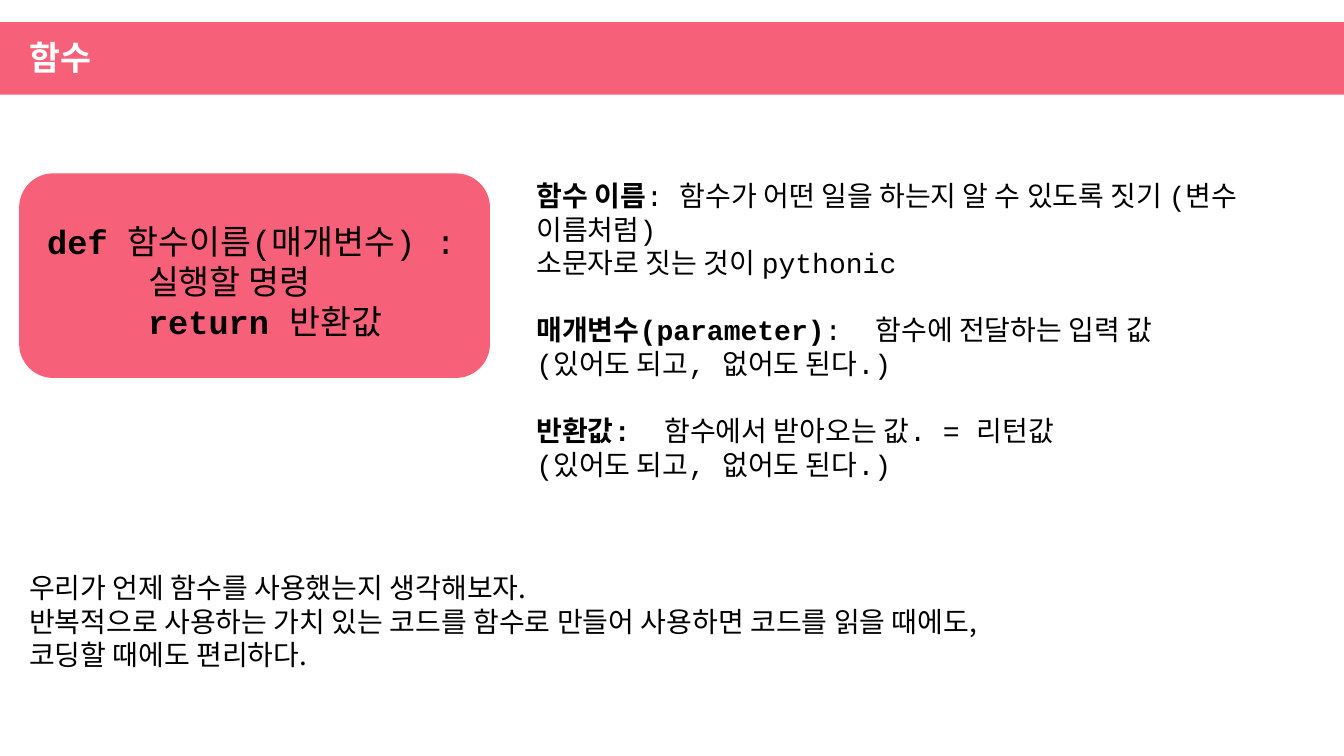
import pptx
import pptx.dml.color
import pptx.enum.shapes
import pptx.enum.text
import pptx.oxml
import pptx.oxml.ns
import pptx.util

Inches = pptx.util.Inches
Pt = pptx.util.Pt
RGBColor = pptx.dml.color.RGBColor
MSO_SHAPE = pptx.enum.shapes.MSO_SHAPE

PINK = RGBColor(0xF6, 0x60, 0x79)
WHITE = RGBColor(0xFF, 0xFF, 0xFF)
BLACK = RGBColor(0x00, 0x00, 0x00)
CODE_FONT = "Courier New"
KOREAN_FONT = "Noto Sans CJK KR"


def add_panel(kind, left, top, width, height):
    panel = slide.shapes.add_shape(
        kind, Inches(left), Inches(top), Inches(width), Inches(height))
    panel.shadow.inherit = False
    panel.fill.solid()
    panel.fill.fore_color.rgb = PINK
    panel.line.fill.background()
    return panel


def write_text(shape, box, lines, size, font=CODE_FONT, color=BLACK):
    """Place shape and fill it; each line is (indent, space before, [(text, bold)])."""
    shape.left, shape.top, shape.width, shape.height = map(Inches, box)
    frame = shape.text_frame
    frame.word_wrap = True
    frame.auto_size = pptx.enum.text.MSO_AUTO_SIZE.NONE
    frame.vertical_anchor = pptx.enum.text.MSO_ANCHOR.TOP
    frame.text = "\n".join("" for _ in lines)
    for paragraph, (indent, gap, pieces) in zip(frame.paragraphs, lines):
        paragraph.alignment = pptx.enum.text.PP_ALIGN.LEFT
        paragraph.space_before = Pt(gap)
        properties = paragraph._p.get_or_add_pPr()
        properties.set("marL", str(Inches(indent)))
        properties.set("indent", "0")
        properties.append(pptx.oxml.parse_xml(
            f'<a:buNone {pptx.oxml.ns.nsdecls("a")}/>'))
        for words, bold in pieces:
            run = paragraph.add_run()
            run.text = words
            run.font.size = Pt(size)
            run.font.bold = bold
            run.font.color.rgb = color
            run.font.name = font
            run.font._element.append(pptx.oxml.parse_xml(
                f'<a:ea {pptx.oxml.ns.nsdecls("a")} typeface="{KOREAN_FONT}"/>'))


presentation = pptx.Presentation()
presentation.slide_width = Inches(13.33)
presentation.slide_height = Inches(7.5)
slide = presentation.slides.add_slide(presentation.slide_layouts[1])

# The band lies behind the title
title_band = add_panel(MSO_SHAPE.RECTANGLE, 0, 0.22, 13.33, 0.72)
slide.shapes._spTree.insert(2, title_band._element)
write_text(slide.shapes.title, (0.19, 0.32, 9.92, 0.5),
           [(0, 0, [("함수", True)])], 24, color=WHITE)

# Function syntax
add_panel(MSO_SHAPE.ROUNDED_RECTANGLE, 0.19, 1.72, 4.67, 2.03)
syntax = slide.shapes.add_textbox(0, 0, 0, 0)
write_text(syntax, (0.37, 2.14, 4.67, 1.31), [
    (0, 0, [("def ", True), ("함수이름(매개변수) :", False)]),
    (1, 0, [("실행할 명령", False)]),
    (1, 0, [("return ", True), ("반환값", False)]),
], 24)

# Terms: a blank line's height separates them
TERM_GAP = 24
optional = (0, 0, [("(있어도 되고, 없어도 된다.)", False)])
write_text(slide.placeholders[1], (5.22, 1.72, 7.75, 3.47), [
    (0, 0, [("함수 이름", True),
            (": 함수가 어떤 일을 하는지 알 수 있도록 짓기 (변수 이름처럼)", False)]),
    (0, 0, [("소문자로 짓는 것이 pythonic", False)]),
    (0, TERM_GAP, [("매개변수(parameter)", True),
                   (":  함수에 전달하는 입력 값", False)]),
    optional,
    (0, TERM_GAP, [("반환값:  ", True),
                   ("함수에서 받아오는 값. = 리턴값", False)]),
    optional,
], 20)

# Closing remark
remark_lines = [
    "우리가 언제 함수를 사용했는지 생각해보자.",
    "반복적으로 사용하는 가치 있는 코드를 함수로 만들어 사용하면 코드를 읽을 때에도,",
    "코딩할 때에도 편리하다.",
]
remark = slide.shapes.add_textbox(0, 0, 0, 0)
write_text(remark, (0.19, 5.61, 12.9, 1.11),
           [(0, 0, [(line, False)]) for line in remark_lines], 20, font=KOREAN_FONT)

presentation.save("out.pptx")
